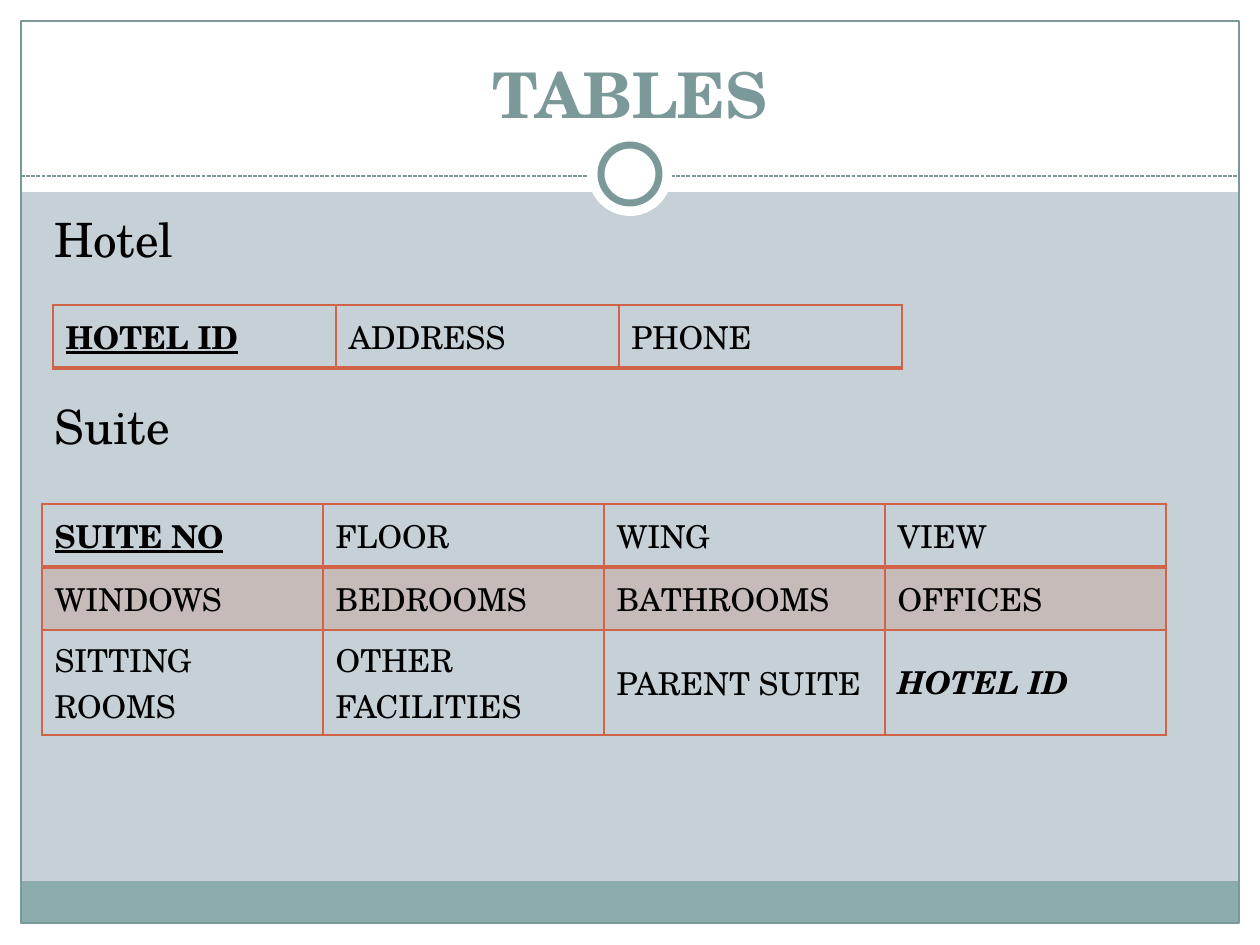
from dataclasses import dataclass

from lxml.etree import SubElement
from pptx import Presentation
from pptx.dml.color import RGBColor
from pptx.enum.dml import MSO_LINE_DASH_STYLE as Dash
from pptx.enum.shapes import MSO_CONNECTOR_TYPE as Connector, MSO_SHAPE as Shape
from pptx.enum.text import MSO_ANCHOR as Anchor, PP_ALIGN as Align
from pptx.oxml.ns import qn
from pptx.util import Emu, Pt

EMU_PER_PX = 914400 / 126


@dataclass(frozen=True)
class Theme:
    font: str = "TeX Gyre Schola"
    background: str = "C5D1D7"
    white: str = "FFFFFF"
    band: str = "8CADAE"
    accent: str = "7C999A"
    text: str = "000000"
    border: str = "D16349"
    title_size: int = 36
    body_size: int = 27
    cell_size: int = 18


def px(length):
    return Emu(round(length * EMU_PER_PX))


def rgb(color):
    return RGBColor.from_string(color)


def write(para, text, *, font, size, color, bold=False, italic=False, underline=False):
    span = para.add_run()
    span.text = text
    span.font.name = font
    span.font.size = Pt(size)
    span.font.color.rgb = rgb(color)
    span.font.bold = bold
    span.font.italic = italic
    span.font.underline = underline


class SlideBuilder:
    def __init__(self, page, theme):
        self.page = page
        self.theme = theme
        page.background.fill.solid()
        page.background.fill.fore_color.rgb = rgb(theme.background)

    def shape(self, kind, left, top, width, height, fill=None, line=None, weight=0.75):
        shape = self.page.shapes.add_shape(kind, px(left), px(top), px(width), px(height))
        shape.shadow.inherit = False
        if fill:
            shape.fill.solid()
            shape.fill.fore_color.rgb = rgb(fill)
        else:
            shape.fill.background()
        if line:
            shape.line.color.rgb = rgb(line)
            shape.line.width = Pt(weight)
        else:
            shape.line.fill.background()

    def dashed_line(self, left, right, y):
        line = self.page.shapes.add_connector(
            Connector.STRAIGHT, px(left), px(y), px(right), px(y))
        line.line.color.rgb = rgb(self.theme.accent)
        line.line.width = Pt(0.75)
        line.line.dash_style = Dash.SQUARE_DOT
        SubElement(line._element.spPr, qn("a:effectLst"))

    def text(self, left, top, width, height, lines, *, gap=0, spacing=1.0,
             anchor=Anchor.TOP, align=Align.LEFT, **style):
        box = self.page.shapes.add_textbox(px(left), px(top), px(width), px(height))
        frame = box.text_frame
        frame.word_wrap = True
        frame.vertical_anchor = anchor
        for index, line in enumerate(lines):
            para = frame.add_paragraph() if index else frame.paragraphs[0]
            para.alignment = align
            para.line_spacing = spacing
            para.space_before = Pt(gap if index else 0)
            write(para, line, font=self.theme.font, **style)

    def border(self, cell, side, weight):
        line = SubElement(cell._tc.get_or_add_tcPr(), qn(f"a:ln{side}"), w=str(Pt(weight)))
        fill = SubElement(line, qn("a:solidFill"))
        SubElement(fill, qn("a:srgbClr"), val=self.theme.border)

    def table(self, left, top, column_width, row_heights, rows, styles):
        columns = len(rows[0])
        frame = self.page.shapes.add_table(
            len(rows), columns, px(left), px(top),
            px(column_width * columns), px(sum(row_heights)))
        table = frame.table
        table.first_row = table.horz_banding = False
        for r, (height, names) in enumerate(zip(row_heights, rows)):
            table.rows[r].height = px(height)
            for c, name in enumerate(names):
                cell = table.cell(r, c)
                cell.vertical_anchor = Anchor.MIDDLE
                write(cell.text_frame.paragraphs[0], name, font=self.theme.font,
                      size=self.theme.cell_size, color=self.theme.text,
                      **styles.get((r, c), {}))
                weights = {"L": 1, "R": 1, "T": 2 if r == 1 else 1, "B": 1 if r else 2}
                for side, weight in weights.items():
                    self.border(cell, side, weight)
                self.shade(cell, r % 2 == 1)

    def shade(self, cell, banded):
        if not banded:
            cell.fill.background()
            return
        cell.fill.solid()
        cell.fill.fore_color.rgb = rgb(self.theme.border)
        color = cell._tc.tcPr.find(qn("a:solidFill")).find(qn("a:srgbClr"))
        SubElement(color, qn("a:alpha"), val="20000")


def main():
    deck = Presentation()
    deck.slide_width, deck.slide_height = px(1260), px(945)
    theme = Theme()
    slide = SlideBuilder(deck.slides.add_slide(deck.slide_layouts[6]), theme)

    for margin in ((0, 924, 1260, 21), (0, 0, 1260, 192), (0, 0, 21, 945), (1239, 0, 21, 945)):
        slide.shape(Shape.RECTANGLE, *margin, fill=theme.white)
    slide.shape(Shape.RECTANGLE, 21, 881, 1217, 43, fill=theme.band)
    slide.shape(Shape.RECTANGLE, 21, 21, 1218, 902, line=theme.accent)
    slide.dashed_line(21, 1239, 176)
    slide.shape(Shape.OVAL, 588, 132, 84, 84, fill=theme.white)
    slide.shape(Shape.OVAL, 601, 145, 58, 58, fill=theme.white, line=theme.accent, weight=4)

    slide.text(42, 32, 1176, 105, ["TABLES"], anchor=Anchor.BOTTOM, align=Align.CENTER,
               size=theme.title_size, color=theme.accent, bold=True)
    slide.text(42, 210, 1172, 630, ["Hotel", "Suite"], gap=78, spacing=0.9,
               size=theme.body_size, color=theme.text)

    key = {"bold": True, "underline": True}
    reference = {"bold": True, "italic": True}
    slide.table(53, 305, 283, [63], [["HOTEL ID", "ADDRESS", "PHONE"]], {(0, 0): key})
    slide.table(42, 504, 281, [63, 63, 105], [
        ["SUITE NO", "FLOOR", "WING", "VIEW"],
        ["WINDOWS", "BEDROOMS", "BATHROOMS", "OFFICES"],
        ["SITTING ROOMS", "OTHER FACILITIES", "PARENT SUITE", "HOTEL ID"],
    ], {(0, 0): key, (2, 3): reference})

    deck.save("out.pptx")


if __name__ == "__main__":
    main()
